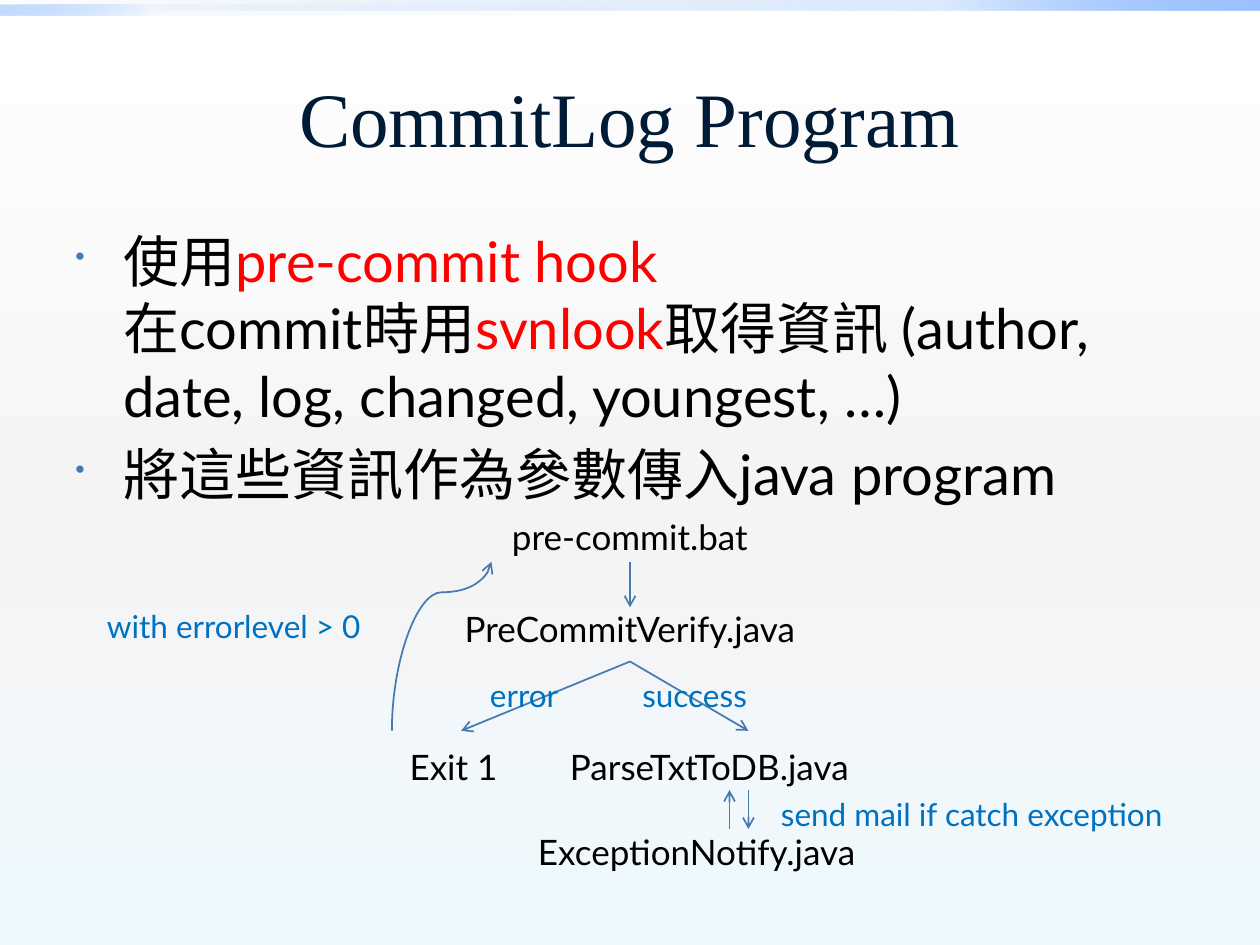
import lxml.etree
import pptx
import pptx.dml.color
import pptx.enum.shapes
import pptx.enum.text
import pptx.oxml.ns
import pptx.util

RGBColor = pptx.dml.color.RGBColor
Align = pptx.enum.text.PP_ALIGN
Anchor = pptx.enum.text.MSO_ANCHOR
Connector = pptx.enum.shapes.MSO_CONNECTOR

NAVY = RGBColor(0x00, 0x1B, 0x36)
BLACK = RGBColor(0x00, 0x00, 0x00)
RED = RGBColor(0xFF, 0x00, 0x00)
NOTE_BLUE = RGBColor(0x00, 0x70, 0xC0)
LINE_BLUE = RGBColor(0x47, 0x7A, 0xB1)
WHITE = RGBColor(0xFF, 0xFF, 0xFF)
LIGHT_GRAY = RGBColor(0xF4, 0xF4, 0xF4)
PALE_BLUE = RGBColor(0xEE, 0xF9, 0xFF)
BAR_COLORS = (RGBColor(0x00, 0x58, 0xB7), RGBColor(0x4F, 0x95, 0xFF), RGBColor(0x9E, 0xC2, 0xFF))

COLUMNS, ROWS = 100, 75
TITLE_FONT, BODY_FONT = "Times New Roman", "Lato"
BOTTOM, TOP = 2, 0


def add_element(parent, tag, **attributes):
    return lxml.etree.SubElement(parent, pptx.oxml.ns.qn(tag), attributes)


class FlowSlide:
    def __init__(self, presentation):
        self.width = presentation.slide_width
        self.height = presentation.slide_height
        self.slide = presentation.slides.add_slide(presentation.slide_layouts[5])

    def x(self, column):
        return round(self.width * column / COLUMNS)

    def y(self, row):
        return round(self.height * row / ROWS)

    def box(self, column, row, columns, rows):
        return self.x(column), self.y(row), self.x(columns), self.y(rows)

    def gradient(self, fill, owner, stops, angle):
        fill.gradient()
        gradient = owner.find(".//" + pptx.oxml.ns.qn("a:gradFill"))
        for child in list(gradient):
            gradient.remove(child)
        stop_list = add_element(gradient, "a:gsLst")
        for position, color, opacity in stops:
            stop = add_element(stop_list, "a:gs", pos=str(position * 1000))
            color_element = add_element(stop, "a:srgbClr", val=str(color))
            if opacity < 100:
                add_element(color_element, "a:alpha", val=str(opacity * 1000))
        add_element(gradient, "a:lin", ang=str(angle * 60000), scaled="0")

    def background(self, stops):
        self.gradient(self.slide.background.fill, self.slide.element, stops, 90)

    def bar(self, row, columns, opacities, angle):
        shape = self.slide.shapes.add_shape(
            pptx.enum.shapes.MSO_SHAPE.RECTANGLE, *self.box(0, row, columns, 0.8))
        shape.shadow.inherit = False
        shape.line.fill.background()
        self.gradient(shape.fill, shape.element, zip((0, 75, 100), BAR_COLORS, opacities), angle)

    def format_run(self, run, size, color, font=BODY_FONT):
        run.font.size = pptx.util.Pt(size)
        run.font.name = font
        run.font.color.rgb = color

    def title(self, text):
        shape = self.slide.shapes.title
        shape.left, shape.top, shape.width, shape.height = self.box(5, 3, 90, 12.5)
        shape.text_frame.text = text
        shape.text_frame.vertical_anchor = Anchor.MIDDLE
        paragraph = shape.text_frame.paragraphs[0]
        paragraph.alignment = Align.CENTER
        self.format_run(paragraph.runs[0], 44, NAVY, TITLE_FONT)

    def bullets(self, items):
        shape = self.slide.shapes.add_textbox(*self.box(5, 17.5, 90, 23))
        frame = shape.text_frame
        frame.word_wrap = True
        for index, lines in enumerate(items):
            paragraph = frame.add_paragraph() if index else frame.paragraphs[0]
            paragraph.space_before = pptx.util.Pt(6.4)
            properties = paragraph._p.get_or_add_pPr()
            indent = pptx.util.Inches(0.38)
            properties.set("marL", str(indent))
            properties.set("indent", str(-indent))
            bullet_color = add_element(properties, "a:buClr")
            add_element(bullet_color, "a:srgbClr", val=str(LINE_BLUE))
            add_element(properties, "a:buSzPct", val="50000")
            add_element(properties, "a:buChar", char="•")
            for line_index, line in enumerate(lines):
                if line_index:
                    paragraph.add_line_break()
                for text, color in line:
                    run = paragraph.add_run()
                    run.text = text
                    self.format_run(run, 32, color)

    def label(self, text, position, size, color):
        shape = self.slide.shapes.add_textbox(*self.box(*position))
        frame = shape.text_frame
        frame.word_wrap = True
        frame.text = text
        self.format_run(frame.paragraphs[0].runs[0], size, color)
        return shape

    def node(self, text, center, row, columns, rows=3.5):
        shape = self.label(text, (center - columns / 2, row, columns, rows), 20, BLACK)
        frame = shape.text_frame
        frame.margin_left = frame.margin_right = frame.margin_top = frame.margin_bottom = 0
        frame.paragraphs[0].alignment = Align.CENTER
        return shape

    def note(self, text, column, row, columns):
        self.label(text, (column, row, columns, 4), 18, NOTE_BLUE)

    def arrow(self, start, end, source=None, target=None, kind=Connector.STRAIGHT):
        connector = self.slide.shapes.add_connector(
            kind, self.x(start[0]), self.y(start[1]), self.x(end[0]), self.y(end[1]))
        if source is not None:
            connector.begin_connect(source, BOTTOM)
        if target is not None:
            connector.end_connect(target, TOP)
        connector.line.color.rgb = LINE_BLUE
        connector.line.width = pptx.util.Pt(1)
        add_element(connector.line._get_or_add_ln(), "a:tailEnd", type="arrow")
        add_element(connector.element.spPr, "a:effectLst")
        return connector

    def return_arrow(self, start, end, bend):
        center_x, center_y = (start[0] + end[0]) / 2, (start[1] + end[1]) / 2
        half_x, half_y = abs(start[1] - end[1]) / 2, abs(start[0] - end[0]) / 2
        connector = self.arrow(
            (center_x + half_x, center_y + half_y),
            (center_x - half_x, center_y - half_y), kind=Connector.CURVE)
        properties = connector.element.spPr
        properties.find(pptx.oxml.ns.qn("a:xfrm")).set("rot", str(90 * 60000))
        adjustments = properties.find(".//" + pptx.oxml.ns.qn("a:avLst"))
        add_element(adjustments, "a:gd", name="adj1", fmla=f"val {round(bend * 100000)}")


def main():
    presentation = pptx.Presentation()
    presentation.slide_width = pptx.util.Inches(10)
    presentation.slide_height = pptx.util.Inches(7.5)

    flow = FlowSlide(presentation)
    flow.background([(0, WHITE, 100), (55, LIGHT_GRAY, 100), (100, PALE_BLUE, 100)])
    flow.bar(0, 100, (0, 20, 100), 315)
    flow.bar(0.4, 50, (0, 5, 60), 135)
    flow.title("CommitLog Program")
    flow.bullets([
        [[("使用", BLACK), ("pre-commit hook", RED)],
         [("在commit時用", BLACK), ("svnlook", RED),
          ("取得資訊 (author, date, log, changed, youngest, …)", BLACK)]],
        [[("將這些資訊作為參數傳入java program", BLACK)]],
    ])

    hook = flow.node("pre-commit.bat", 50, 40.9, 24, 3.7)
    verify = flow.node("PreCommitVerify.java", 50, 48.2, 32, 4.3)
    flow.node("Exit 1", 36, 59.2, 10)
    flow.node("ParseTxtToDB.java", 56.3, 59.2, 28)
    flow.node("ExceptionNotify.java", 55.3, 65.9, 32)

    flow.arrow((50, 44.6), (50, 48.2), hook, verify)
    for end in ((59.4, 58), (36.6, 58)):
        flow.arrow((50, 52.5), end, verify)
    flow.arrow((59.4, 62.7), (59.4, 65.8))
    flow.arrow((57.9, 65.8), (57.9, 62.7))
    flow.return_arrow((31.1, 58), (39, 44.6), 0.82)

    flow.note("with errorlevel > 0", 7.5, 47.7, 26.8)
    flow.note("success", 50, 53.2, 10.7)
    flow.note("error", 37.9, 53.2, 10.7)
    flow.note("send mail if catch exception", 61, 62.6, 35.3)

    presentation.save("out.pptx")


if __name__ == "__main__":
    main()
